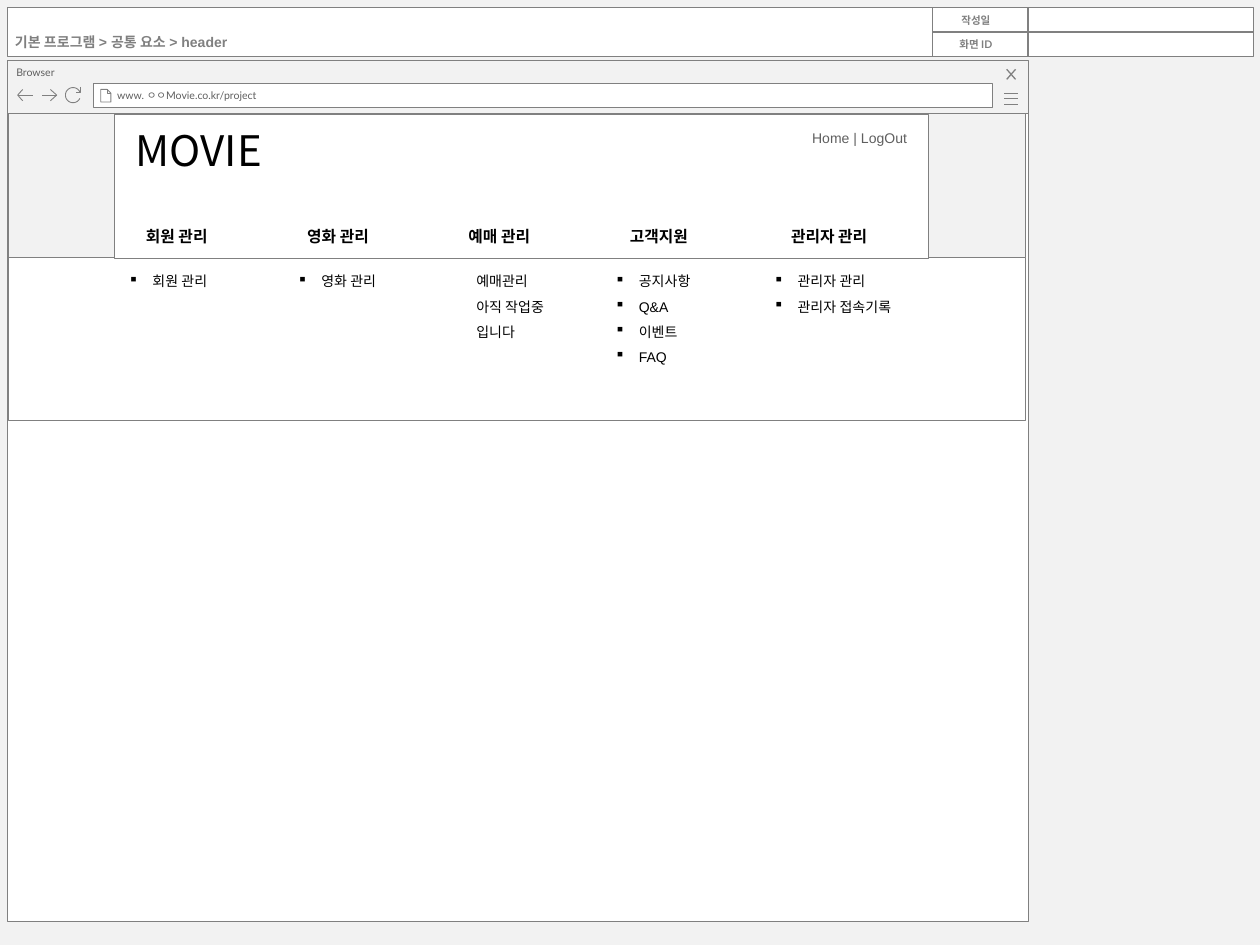
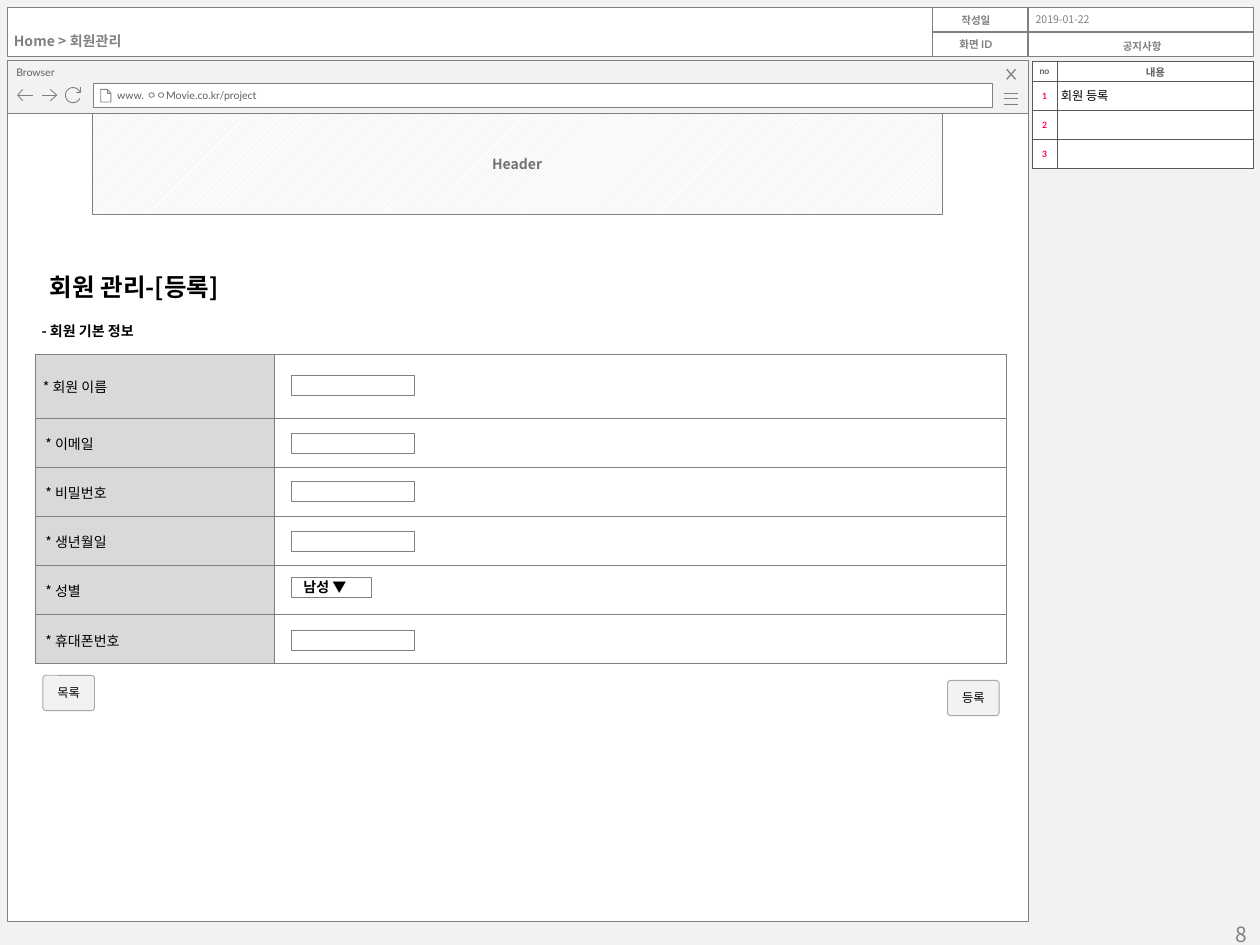
from dataclasses import dataclass, replace
from math import cos, radians, sin
from typing import NamedTuple, Optional

from lxml import etree
from pptx import Presentation
from pptx.dml.color import RGBColor
from pptx.enum.dml import MSO_PATTERN
from pptx.enum.shapes import MSO_CONNECTOR, MSO_SHAPE
from pptx.enum.text import MSO_ANCHOR, PP_ALIGN
from pptx.oxml.ns import qn
from pptx.util import Inches, Pt

RECT, ROUNDED = MSO_SHAPE.RECTANGLE, MSO_SHAPE.ROUNDED_RECTANGLE
STRAIGHT = MSO_CONNECTOR.STRAIGHT
DIAGONAL = MSO_PATTERN.LIGHT_UPWARD_DIAGONAL
LEFT, CENTER, RIGHT = PP_ALIGN.LEFT, PP_ALIGN.CENTER, PP_ALIGN.RIGHT
TOP, MIDDLE = MSO_ANCHOR.TOP, MSO_ANCHOR.MIDDLE
RIGHT_SIDE = 3

WIDTH, HEIGHT = Inches(10), Inches(7.5)
COLUMNS, ROWS = 1000, 750  # grid of square cells covering the slide
CELL = WIDTH // COLUMNS

WHITE, BLACK = "FFFFFF", "000000"
PAPER, OUTLINE, INK = "F2F2F2", "808080", "5F5F5F"
LABEL_FILL, BUTTON_LINE, HEADER_INK = "D9D9D9", "A6A6A6", "767171"
NOTE_LINE, NOTE_NUMBER = "595959", "FF0066"
SANS, LATO, KOREAN, BUTTON_FONT = "Arial", "Lato", "Noto Sans CJK KR", "Calibri"


class Box(NamedTuple):
    """Place and size in grid columns and rows."""
    col: float
    row: float
    cols: float
    rows: float


@dataclass(frozen=True)
class Style:
    size: float
    font: str = KOREAN
    color: str = BLACK
    bold: bool = False
    align: PP_ALIGN = LEFT
    anchor: MSO_ANCHOR = TOP
    insets: tuple = (10, 5, 10, 5)  # left, top, right, bottom
    spacing: Optional[float] = None
    bullet: str = ""


@dataclass(frozen=True)
class Icon:
    strokes: list
    weight: float = 0.5


@dataclass(frozen=True)
class MenuGroup:
    title: str
    items: list
    col: int
    bullet: str = "▪"
    cols: int = 76
    title_cols: int = 87


@dataclass(frozen=True)
class Field:
    label: str
    input_row: int
    rows: int = 39
    inset: int = 8
    input_cols: int = 98
    value: str = ""


TIGHT = (7, 4, 7, 4)
CAPTION = Style(6, LATO, INK, insets=(7, 4, 18, 4))
ADDRESS = replace(CAPTION, anchor=MIDDLE, insets=(19, 4, 7, 4))
BAND_LABEL = Style(6, LATO, OUTLINE, True, CENTER, MIDDLE, (0, 0, 6, 0))
CRUMB = Style(8, SANS, OUTLINE, True)
MENU_TITLE = Style(9, bold=True)
MENU_ITEM = Style(8, SANS, insets=(4, 0, 4, 0), spacing=1.5)
NOTE_HEAD = Style(5, LATO, INK, True, CENTER, MIDDLE, (0, 0, 0, 0))
NOTE_NO = replace(NOTE_HEAD, color=NOTE_NUMBER)
NOTE_TEXT = Style(7, SANS, anchor=MIDDLE, insets=(3, 3, 0, 3))
FIELD_LABEL = Style(8, anchor=MIDDLE, insets=(8, 1, 1, 0))
CHOICE = Style(8, bold=True, anchor=MIDDLE, insets=(10, 6, 10, 6))
BUTTON = Style(7, BUTTON_FONT, align=CENTER, anchor=MIDDLE, insets=(4, 4, 4, 4))

RELOAD_ARC = [(58 + 6 * cos(radians(a)), 75.5 + 6 * sin(radians(a)))
              for a in range(25, 336, 10)]
BROWSER_ICONS = [
    Icon([[(797, y), (808, y)] for y in (74, 78.5, 83)]),
    Icon([[(806, 55), (799, 63)], [(799, 55), (806, 63)]], 0.75),
    Icon([[(85, 71), (85, 74), (88, 74)],
          [(80, 71), (80, 81), (88, 81), (88, 74), (85, 71), (80, 71)]]),
    Icon([[(18, 80), (14, 75.5), (18, 71)], [(14, 75.5), (26, 75.5)]]),
    Icon([[(40, 71), (45, 75.5), (40, 80)], [(45, 75.5), (33, 75.5)]]),
    Icon([[(64, 69), (64, 73), (60, 73)], RELOAD_ARC]),
]
MENU = [
    MenuGroup("회원 관리", ["회원 관리"], 98),
    MenuGroup("영화 관리", ["영화 관리"], 232),
    MenuGroup("예매 관리", ["예매관리", "아직 작업중", "입니다"], 374, bullet=""),
    MenuGroup("고객지원", ["공지사항", "Q&A", "이벤트", "FAQ"], 484),
    MenuGroup("관리자 관리", ["관리자 관리", "관리자 접속기록"], 610, cols=118, title_cols=118),
]
FIELDS = [
    Field("* 회원 이름", 298, rows=51, inset=6),
    Field("* 이메일", 344),
    Field("* 비밀번호", 382),
    Field("* 생년월일", 422),
    Field("* 성별", 458, input_cols=64, value="남성 ▼"),
    Field("* 휴대폰번호", 500),
]
NOTES = ["회원 등록", "", ""]


def rgb(color: str) -> RGBColor:
    return RGBColor.from_string(color)


def grid(cells: float) -> int:
    return round(cells * CELL)


def place(box: Box) -> list:
    return [grid(length) for length in box]


def set_line(shape, color: str, weight: float) -> None:
    shape.line.color.rgb = rgb(color)
    shape.line.width = Pt(weight)


def write(frame, lines: list, style: Style) -> None:
    """Fill a text frame with one paragraph per line."""
    for number, line in enumerate(lines):
        paragraph = frame.paragraphs[0] if number == 0 else frame.add_paragraph()
        paragraph.alignment = style.align
        if style.spacing:
            paragraph.line_spacing = style.spacing
        if style.bullet:
            properties = paragraph._p.get_or_add_pPr()
            properties.set("marL", str(grid(19)))
            properties.set("indent", str(-grid(19)))
            etree.SubElement(properties, qn("a:buChar"), char=style.bullet)
        if not line:
            etree.SubElement(paragraph._p, qn("a:endParaRPr"), sz=str(int(style.size * 100)))
            continue
        run = paragraph.add_run()
        run.text = line
        looks = {"size": Pt(style.size), "name": style.font, "bold": style.bold}
        for name, value in looks.items():
            setattr(run.font, name, value)
        run.font.color.rgb = rgb(style.color)
        etree.SubElement(run._r.get_or_add_rPr(), qn("a:ea"), typeface=KOREAN)


def set_insets(holder, style: Style) -> None:
    for side, inset in zip(("left", "top", "right", "bottom"), style.insets):
        setattr(holder, f"margin_{side}", grid(inset))
    holder.vertical_anchor = style.anchor


def fill_frame(frame, lines: list, style: Style) -> None:
    frame.word_wrap = True
    set_insets(frame, style)
    write(frame, lines, style)


def add_text(slide, box: Box, style: Style, *lines: str) -> None:
    fill_frame(slide.shapes.add_textbox(*place(box)).text_frame, lines, style)


def add_panel(slide, box: Box, fill: str = WHITE, text: str = "", style: Style = CAPTION,
              line: str = OUTLINE, weight: float = 0.5, kind: MSO_SHAPE = RECT):
    panel = slide.shapes.add_shape(kind, *place(box))
    panel.shadow.inherit = False
    panel.fill.solid()
    panel.fill.fore_color.rgb = rgb(fill)
    set_line(panel, line, weight)
    if text:
        fill_frame(panel.text_frame, [text], style)
    return panel


def add_rule(slide, start: tuple, end: tuple):
    rule = slide.shapes.add_connector(STRAIGHT, *map(grid, start + end))
    set_line(rule, OUTLINE, 0.75)
    etree.SubElement(rule._element.spPr, qn("a:effectLst"))
    return rule


def add_icon(slide, icon: Icon) -> None:
    strokes = [[(grid(x), grid(y)) for x, y in stroke] for stroke in icon.strokes]
    builder = slide.shapes.build_freeform(*strokes[0][0])
    for number, (first, *rest) in enumerate(strokes):
        if number:
            builder.move_to(*first)
        builder.add_line_segments(rest, close=False)
    drawing = builder.convert_to_shape()
    drawing.shadow.inherit = False
    drawing.fill.background()
    set_line(drawing, OUTLINE, icon.weight)


def style_cell(cell, text: str, style: Style, fill: str, border: str) -> None:
    cell.fill.solid()
    cell.fill.fore_color.rgb = rgb(fill)
    set_insets(cell, style)
    write(cell.text_frame, [text], style)
    properties = cell._tc.get_or_add_tcPr()
    for order, side in enumerate(("lnL", "lnR", "lnT", "lnB")):
        edge = etree.Element(qn(f"a:{side}"), w=str(Pt(0.5)))
        solid = etree.SubElement(edge, qn("a:solidFill"))
        etree.SubElement(solid, qn("a:srgbClr"), val=border)
        properties.insert(order, edge)


def add_grid_table(slide, corner: tuple, cols: list, rows: list, cells: list, border: str) -> None:
    """Each cell is a (text, style, fill) triple."""
    box = Box(*corner, sum(cols), sum(rows))
    table = slide.shapes.add_table(len(rows), len(cols), *place(box)).table
    table.first_row = table.horz_banding = False
    for column, width in zip(table.columns, cols):
        column.width = grid(width)
    for row, height, contents in zip(table.rows, rows, cells):
        row.height = grid(height)
        for cell, content in zip(row.cells, contents):
            style_cell(cell, *content, border)


def add_screen(prs):
    """Add a slide with the title band and the empty browser window."""
    slide = prs.slides.add_slide(prs.slide_layouts[6])
    slide.background.fill.solid()
    slide.background.fill.fore_color.rgb = rgb(PAPER)
    add_panel(slide, Box(6, 90, 810, 641), weight=0.25)
    add_panel(slide, Box(6, 48, 810, 42), PAPER, "Browser")
    add_panel(slide, Box(74, 66, 714, 19), WHITE, "www. ㅇㅇMovie.co.kr/project", ADDRESS)
    for icon in BROWSER_ICONS:
        add_icon(slide, icon)
    band = add_panel(slide, Box(6, 6, 989, 39))
    for row, label in ((6, "작성일"), (25, "화면 ID")):
        add_text(slide, Box(740, row, 75, 20), BAND_LABEL, label)
    add_rule(slide, (740, 25.5), (995, 25.5)).end_connect(band, RIGHT_SIDE)
    for col in (740, 816):
        add_rule(slide, (col, 6), (col, 45))
    return slide


def build_header_screen(prs) -> None:
    slide = add_screen(prs)
    add_panel(slide, Box(7, 90, 807, 114), PAPER)
    add_panel(slide, Box(7, 204, 807, 130))
    add_panel(slide, Box(91, 91, 646, 114))
    add_text(slide, Box(633, 99, 95, 21),
             Style(8, SANS, INK, align=RIGHT, insets=(8, 4, 8, 4)), "Home | LogOut")
    add_text(slide, Box(98, 94, 189, 50), Style(24), "MOVIE")
    add_text(slide, Box(2, 22, 209, 24), CRUMB, "기본 프로그램 > 공통 요소 > header")
    for number, group in enumerate(MENU):
        add_text(slide, Box(106 + 128 * number, 175, group.title_cols, 25), MENU_TITLE, group.title)
        add_text(slide, Box(group.col, 210, group.cols, 20 * len(group.items)),
                 replace(MENU_ITEM, bullet=group.bullet), *group.items)


def build_member_screen(prs) -> None:
    slide = add_screen(prs)
    add_text(slide, Box(775, 733, 225, 17),
             Style(12, color=OUTLINE, align=RIGHT, anchor=MIDDLE), "8")
    add_text(slide, Box(815, 25, 177, 20),
             replace(BAND_LABEL, font=SANS, insets=(6, 3, 0, 0)), "공지사항")
    add_text(slide, Box(4, 22, 108, 21), replace(CRUMB, font=KOREAN, insets=TIGHT), "Home > 회원관리")
    add_text(slide, Box(816, 7, 177, 18), Style(6, color=OUTLINE, insets=(6, 3, 0, 3)), "2019-01-22")

    note_title = replace(NOTE_HEAD, size=6, font=SANS, insets=(1, 1, 1, 0))
    notes = [[("no", NOTE_HEAD, WHITE), ("내용", note_title, WHITE)]]
    notes += [[(str(number), NOTE_NO, WHITE), (note, NOTE_TEXT, WHITE)]
              for number, note in enumerate(NOTES, 1)]
    add_grid_table(slide, (819, 48.5), [20, 156], [16] + [23] * len(NOTES), notes, NOTE_LINE)

    header = add_panel(slide, Box(73, 90, 675, 80), WHITE, "Header",
                       Style(8, KOREAN, HEADER_INK, True, CENTER, MIDDLE, TIGHT))
    header.fill.patterned()
    header.fill.pattern = DIAGONAL
    header.fill.fore_color.rgb = rgb(LABEL_FILL)
    header.fill.back_color.rgb = rgb(WHITE)

    add_text(slide, Box(0, 216, 213, 24),
             Style(14, bold=True, align=CENTER, insets=(0, 0, 0, 0)), "회원 관리-[등록]")
    add_text(slide, Box(26, 252, 98, 21), Style(8, bold=True, insets=TIGHT), "- 회원 기본 정보")
    form = [[(field.label, replace(FIELD_LABEL, insets=(field.inset, 1, 1, 0)), LABEL_FILL),
             ("", FIELD_LABEL, WHITE)] for field in FIELDS]
    add_grid_table(slide, (28, 281), [190, 581], [field.rows for field in FIELDS], form, OUTLINE)
    for field in FIELDS:
        add_panel(slide, Box(231, field.input_row, field.input_cols, 16), WHITE, field.value, CHOICE)
    for col, row, action in ((34, 536, "목록"), (752, 540, "등록")):
        button = add_panel(slide, Box(col, row, 41, 28), PAPER, action, BUTTON,
                           BUTTON_LINE, kind=ROUNDED)
        button.adjustments[0] = 0.09


def main() -> None:
    prs = Presentation()
    prs.slide_width, prs.slide_height = WIDTH, ROWS * CELL
    build_header_screen(prs)
    build_member_screen(prs)
    prs.save("out.pptx")


if __name__ == "__main__":
    main()
